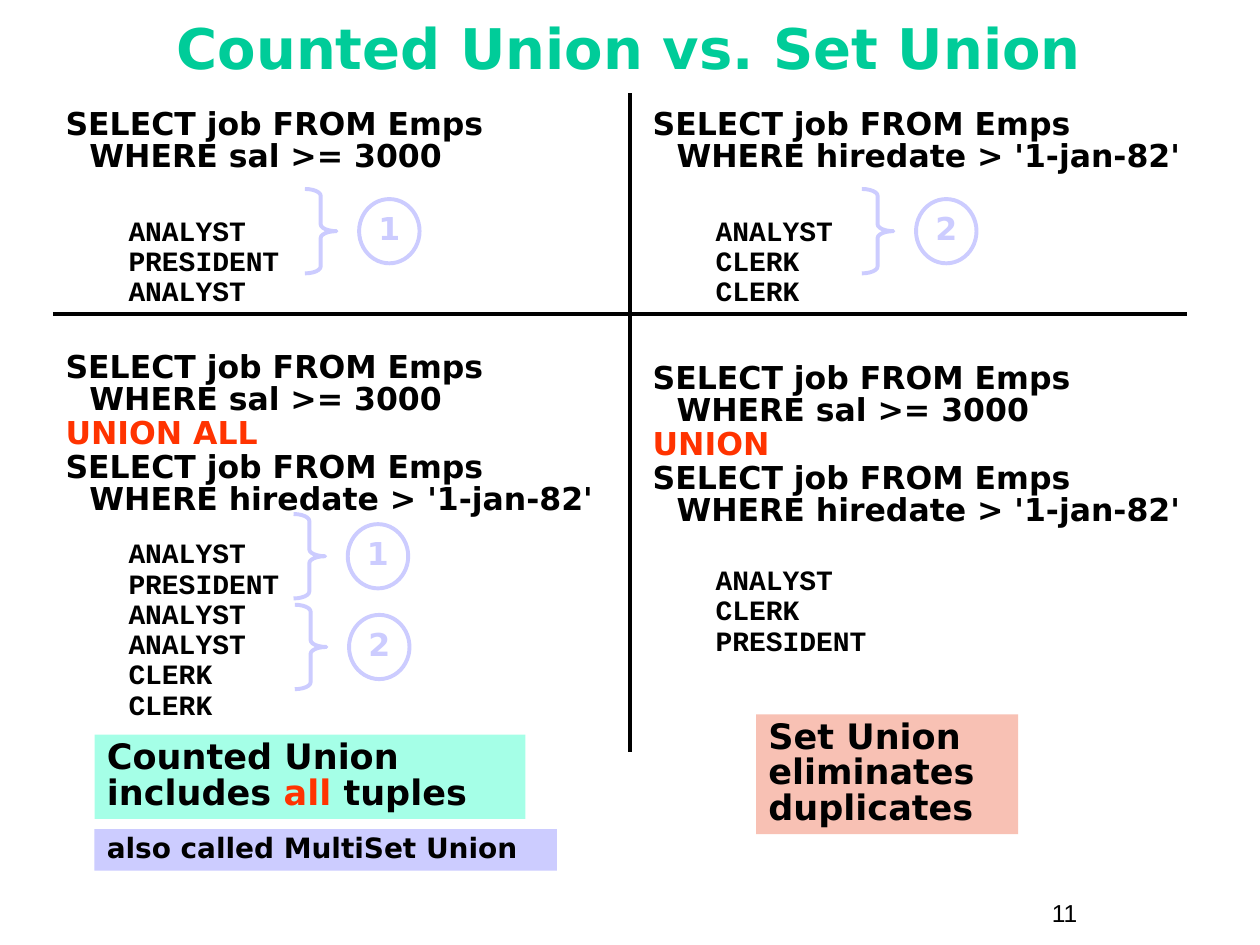
"""Build the slide that compares counted union with set union."""
from copy import deepcopy
from dataclasses import dataclass

from pptx import Presentation
from pptx.dml.color import RGBColor
from pptx.enum import shapes, text
from pptx.oxml import ns, xmlchemy as xml
from pptx.util import Inches, Pt

BLACK = RGBColor(0, 0, 0)
GREEN = RGBColor(0x00, 0xCC, 0x99)
RED = RGBColor(0xFF, 0x33, 0x00)
LILAC = RGBColor(0xCC, 0xCC, 0xFF)
MINT = RGBColor(0xA5, 0xFF, 0xE7)
SALMON = RGBColor(0xF8, 0xC1, 0xB4)
SANS, MONO = "DejaVu Sans", "Courier New"
HIGH = "SELECT job FROM Emps\nWHERE sal >= 3000"
LATE = "SELECT job FROM Emps\nWHERE hiredate > '1-jan-82'"


@dataclass
class Step:
    """A query part, or a list of result rows, with the gap above it."""
    words: str
    gap: float = 1.1
    rows: bool = False
    color: RGBColor = BLACK


@dataclass
class Group:
    """A numbered brace beside some result rows."""
    label: str
    left: float
    top: float


@dataclass
class Note:
    """A filled remark, given as runs of words and colour."""
    runs: list[tuple[str, RGBColor]]
    box: tuple[float, float, float, float]
    fill: RGBColor
    size: int = 20


LEFT = [
    Step(HIGH, 0), Step("ANALYST PRESIDENT ANALYST", 25.5, True),
    Step(HIGH, 25.6), Step("UNION ALL", color=RED), Step(LATE),
    Step("ANALYST PRESIDENT ANALYST ANALYST CLERK CLERK", 13.7, True),
]
RIGHT = [
    Step(LATE, 0), Step("ANALYST CLERK CLERK", 25.5, True),
    Step(HIGH, 31.9), Step("UNION", color=RED), Step(LATE),
    Step("ANALYST CLERK PRESIDENT", 22.8, True),
]
GROUPS = [Group("1", 2.42, 1.5), Group("2", 6.84, 1.5),
          Group("1", 2.33, 4.08), Group("2", 2.34, 4.8)]
NOTES = [
    Note([("Set Union eliminates duplicates", BLACK)], (6, 5.67, 2.08, 0.95), SALMON),
    Note([("Counted Union\nincludes ", BLACK), ("all", RED), (" tuples", BLACK)],
         (0.75, 5.83, 3.42, 0.67), MINT),
    Note([("also called MultiSet Union", BLACK)], (0.75, 6.58, 3.67, 0.33), LILAC, 16),
]


def write(para, words: str, *, size: float = 18, face: str = SANS,
          color: RGBColor = BLACK, bold: bool = True) -> None:
    """Add words to a paragraph, breaking at each newline."""
    for num, line in enumerate(words.split("\n")):
        if num:
            para.add_line_break()
        run = para.add_run()
        run.text = line
        font = run.font
        font.size, font.name, font.bold = Pt(size), face, bold
        font.color.rgb = color
        if num:
            mark = para._p.findall(ns.qn("a:br"))[-1]
            mark.append(deepcopy(run._r.rPr))


def place(shape, box: tuple[float, float, float, float]) -> None:
    """Move and size a shape in inches."""
    shape.left, shape.top, shape.width, shape.height = map(Inches, box)


def frame(shape, anchor=text.MSO_ANCHOR.TOP, wrap: bool = True):
    """Set up a text frame and return it."""
    body = shape.text_frame
    body.auto_size = text.MSO_AUTO_SIZE.NONE
    body.vertical_anchor, body.word_wrap = anchor, wrap
    return body


def column(shape, steps: list[Step]) -> None:
    """Fill a body placeholder with queries and their results."""
    body = frame(shape)
    first = True
    for step in steps:
        items = step.words.split() if step.rows else [step.words]
        for num, item in enumerate(items):
            para = body.paragraphs[0] if first else body.add_paragraph()
            first = False
            para.level = int(step.rows)
            para.line_spacing = 0.85
            para.space_before = Pt(1 if num else step.gap)
            margin, dent = (0.81, -0.31) if step.rows else (0.19, -0.19)
            props = para._p.get_or_add_pPr()
            props.set("marL", str(Inches(margin)))
            props.set("indent", str(Inches(dent)))
            props.append(xml.OxmlElement("a:buNone"))
            write(para, item, size=16 if step.rows else 18,
                  face=MONO if step.rows else SANS, color=step.color)


def rule(slide, start: tuple[float, float], end: tuple[float, float]) -> None:
    """Draw a dividing line."""
    line = slide.shapes.add_connector(
        shapes.MSO_CONNECTOR.STRAIGHT, *map(Inches, start + end))
    line.line.color.rgb, line.line.width = BLACK, Pt(2.25)
    line._element.spPr.append(xml.OxmlElement("a:effectLst"))


def outline(slide, kind, box: tuple[float, float, float, float]):
    """Draw an unfilled lilac shape."""
    shape = slide.shapes.add_shape(kind, *map(Inches, box))
    shape.shadow.inherit = False
    shape.fill.background()
    shape.line.color.rgb, shape.line.width = LILAC, Pt(2.25)
    return shape


def group(slide, item: Group) -> None:
    """Draw a brace and its numbered circle."""
    kind = shapes.MSO_SHAPE
    brace = outline(slide, kind.RIGHT_BRACE, (item.left, item.top, 0.25, 0.67))
    brace.adjustments[0] = 0.22
    ring = outline(slide, kind.OVAL, (item.left + 0.43, item.top + 0.08, 0.48, 0.51))
    para = frame(ring, text.MSO_ANCHOR.MIDDLE, False).paragraphs[0]
    para.alignment, para.line_spacing = text.PP_ALIGN.CENTER, 0.85
    write(para, item.label, color=LILAC)


def note(slide, item: Note) -> None:
    """Draw a filled remark."""
    shape = slide.shapes.add_shape(shapes.MSO_SHAPE.RECTANGLE, *map(Inches, item.box))
    shape.shadow.inherit = False
    shape.fill.solid()
    shape.fill.fore_color.rgb = item.fill
    shape.line.fill.background()
    para = frame(shape).paragraphs[0]
    para.alignment, para.line_spacing = text.PP_ALIGN.LEFT, 0.85
    for words, color in item.runs:
        write(para, words, size=item.size, color=color)


def main() -> None:
    """Build and save the slide."""
    deck = Presentation()
    deck.slide_width, deck.slide_height = Inches(10), Inches(7.5)
    slide = deck.slides.add_slide(deck.slide_layouts.get_by_name("Two Content"))
    title, left, right = list(slide.placeholders)[:3]
    place(title, (0.33, 0.08, 9.33, 0.58))
    head = frame(title, text.MSO_ANCHOR.MIDDLE).paragraphs[0]
    head.alignment = text.PP_ALIGN.CENTER
    write(head, "Counted Union vs. Set Union", size=32, color=GREEN)
    place(left, (0.42, 0.82, 4.5, 5.67))
    column(left, LEFT)
    place(right, (5.08, 0.82, 4.5, 5.25))
    column(right, RIGHT)
    rule(slide, (0.42, 2.49), (9.42, 2.49))
    rule(slide, (5, 0.74), (5, 5.97))
    for item in NOTES:
        note(slide, item)
    for item in GROUPS:
        group(slide, item)
    page = slide.shapes.add_textbox(*map(Inches, (8.25, 7.08, 0.92, 0.34)))
    write(frame(page).paragraphs[0], "11", size=14, face="Arial", bold=False)
    deck.save("out.pptx")


if __name__ == "__main__":
    main()
